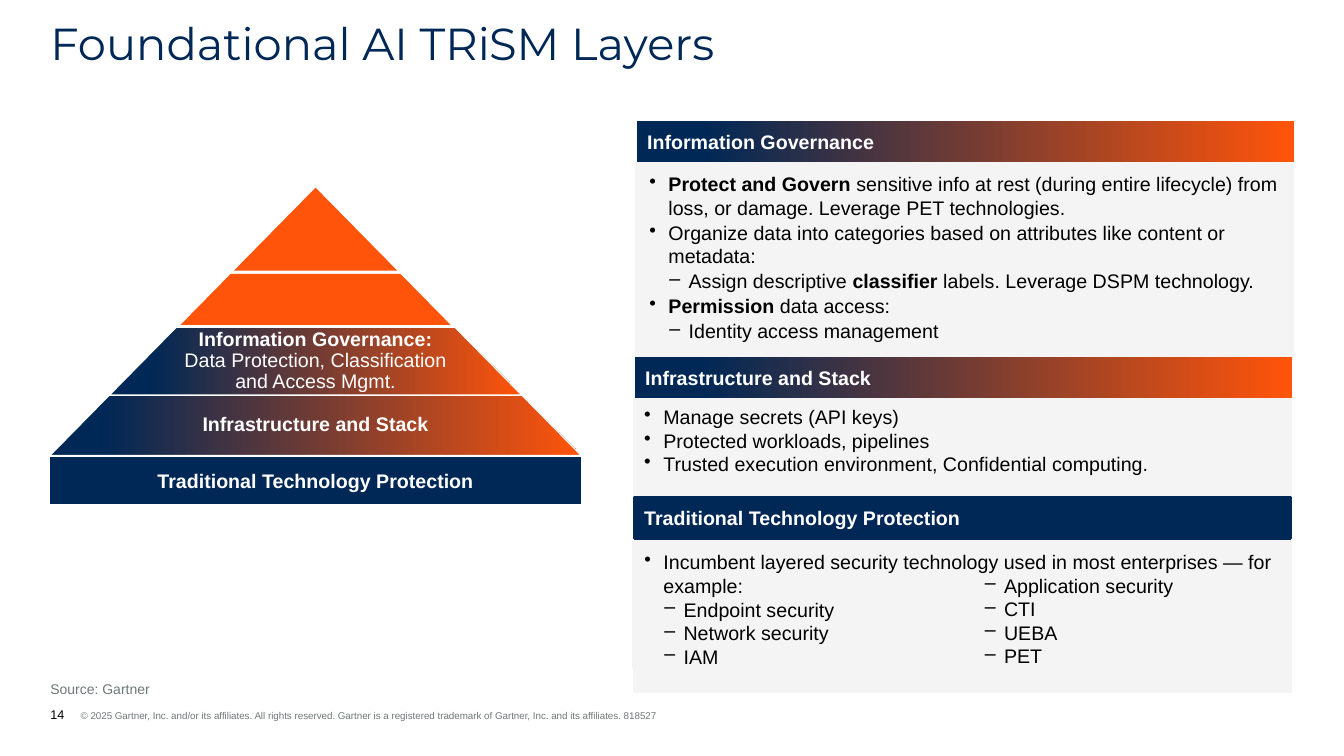
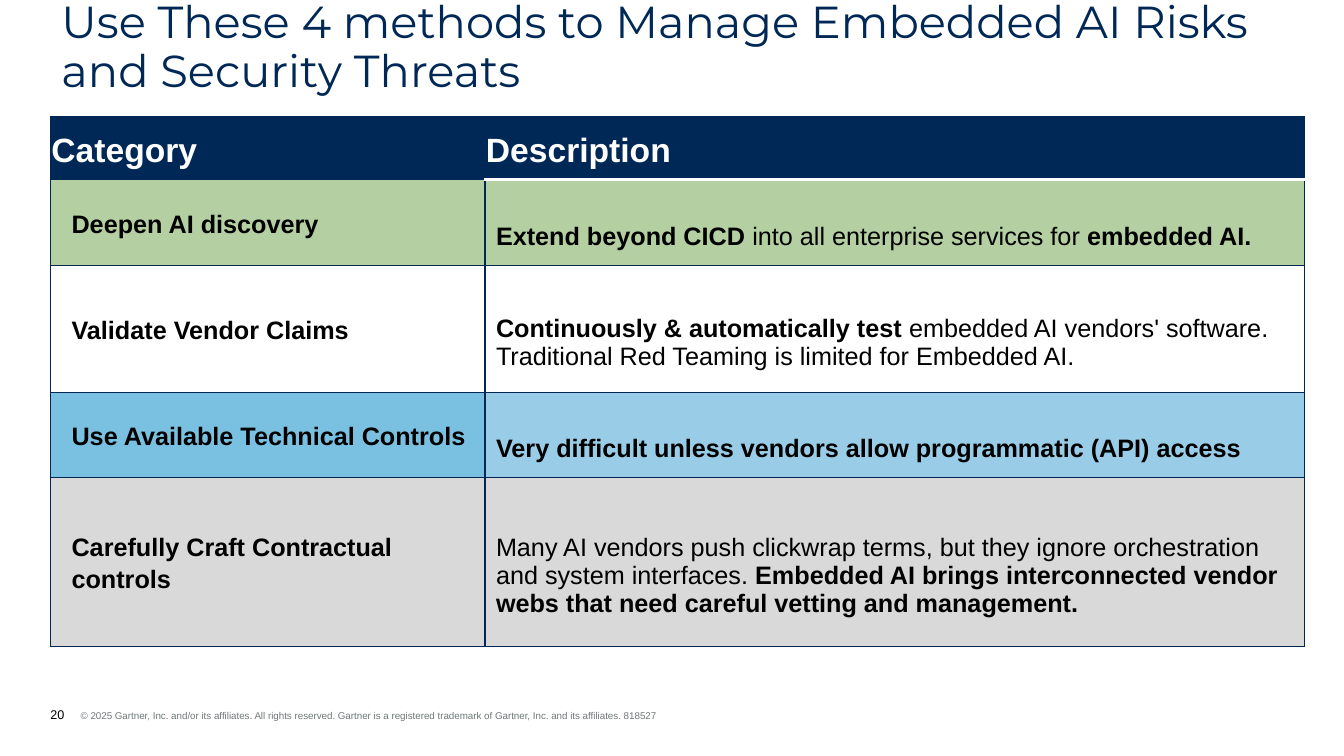
import pptx
import pptx.dml.color
import pptx.enum.shapes
import pptx.enum.text
import pptx.oxml.ns
import pptx.util
from lxml import etree

PX = 9144
NAVY, EDGE, ORANGE = "002856", "002754", "FF540A"
WHITE, BLACK, GREY, PALE = "FFFFFF", "000000", "6F7878", "F4F4F4"
FADE = (NAVY, ORANGE)
BODY_FONT, TITLE_FONT = "Arial", "Montserrat"
COPYRIGHT = ("© 2025 Gartner, Inc. and/or its affiliates. All rights reserved. "
             "Gartner is a registered trademark of Gartner, Inc. and its affiliates. 818527")
SHAPE = pptx.enum.shapes.MSO_SHAPE
ANCHOR = pptx.enum.text.MSO_ANCHOR
ALIGN = pptx.enum.text.PP_ALIGN


def px(length):
    return pptx.util.Emu(round(length * PX))


def color(value):
    return pptx.dml.color.RGBColor.from_string(value)


def style(font, size, ink, bold=None, name=BODY_FONT):
    font.name, font.size, font.bold = name, pptx.util.Pt(size), bold
    font.color.rgb = color(ink)


def indent(para, left, first=0):
    properties = para._p.get_or_add_pPr()
    properties.set("marL", str(px(left)))
    properties.set("indent", str(px(first)))
    return properties


def add_spans(para, text):
    """Write text in which ** toggles bold and a newline breaks the line."""
    for index, part in enumerate(text.split("**")):
        for row, line in enumerate(part.split("\n")):
            if row:
                para.add_line_break()
            if line:
                span = para.add_run()
                span.text = line
                if index % 2:
                    span.font.bold = True


def setup_frame(frame, insets=(0, 0, 0, 0), anchor=ANCHOR.TOP):
    frame.word_wrap = True
    frame.vertical_anchor = anchor
    (frame.margin_left, frame.margin_top,
     frame.margin_right, frame.margin_bottom) = map(px, insets)
    return frame


def write_line(frame, text, size, ink, bold=None, name=BODY_FONT, spacing=None,
               align=ALIGN.LEFT):
    para = frame.paragraphs[0]
    para.line_spacing, para.alignment = spacing, align
    style(para.font, size, ink, bold, name)
    add_spans(para, text)


def write_bullets(frame, items, gap=0):
    """Write (level, text) items as a two-level list."""
    for index, (level, text) in enumerate(items):
        para = frame.add_paragraph() if index else frame.paragraphs[0]
        properties = indent(para, 19 + 20 * level, -19)
        properties.set("lvl", str(level))
        bullet = etree.SubElement(properties, pptx.oxml.ns.qn("a:buChar"))
        bullet.set("char", "•–"[level])
        para.alignment = ALIGN.LEFT
        para.space_before = pptx.util.Pt(gap if index else 0)
        style(para.font, 14, BLACK)
        add_spans(para, text)


def add_text(page, box, insets=(0, 0, 0, 0), anchor=ANCHOR.TOP):
    return setup_frame(page.shapes.add_textbox(*map(px, box)).text_frame, insets, anchor)


def add_block(page, kind, box, fill, line=None, width=1):
    """Add a shape whose fill is one colour or a left-to-right pair."""
    block = page.shapes.add_shape(kind, *map(px, box))
    block.shadow.inherit = False
    if isinstance(fill, tuple):
        block.fill.gradient()
        block.fill.gradient_angle = 0
        for stop, value, position in zip(block.fill.gradient_stops, fill, (0.1, 1)):
            stop.color.rgb = color(value)
            stop.position = position
    else:
        block.fill.solid()
        block.fill.fore_color.rgb = color(fill)
    if line:
        block.line.color.rgb = color(line)
        block.line.width = pptx.util.Pt(width)
    else:
        block.line.fill.background()
    return block


def add_page(deck, title, left, top, number):
    """Add a blank page with the shared title and footer."""
    page = deck.slides.add_slide(deck.slide_layouts[6])
    write_line(add_text(page, (left, top, 1233, 48)), title, 32, NAVY,
               name=TITLE_FONT, spacing=0.9)
    footer = add_text(page, (50, 701, 785, 15), anchor=ANCHOR.BOTTOM).paragraphs[0]
    indent(footer, 30, -30)
    for text, size, ink in ((number, 9, BLACK), ("\t" + COPYRIGHT, 7, GREY)):
        span = footer.add_run()
        span.text = text
        style(span.font, size, ink)
    return page


def add_panel(page, left, top, height, heading, fill, items, insets, gap=0):
    """Add a heading bar with a list on a pale body below it."""
    width, bar = 651, 41
    body = add_block(page, SHAPE.RECTANGLE, (left - 1, top + bar, width, height), PALE, PALE, 2)
    write_bullets(setup_frame(body.text_frame, insets), items, gap)
    line = None if isinstance(fill, tuple) else fill
    header = add_block(page, SHAPE.RECTANGLE, (left, top, width, bar), fill, line, 2)
    frame = setup_frame(header.text_frame, (10, 10, 10, 10), ANCHOR.MIDDLE)
    write_line(frame, heading, 14, WHITE, True)


def add_pyramid(page, center, apex, layers, base_height, base_label):
    """Stack layers of one slope below the apex, on a rectangular base."""
    slope = 0.984
    bottom = apex + sum(height for height, *_ in layers)
    widest = 2 * slope * (bottom - apex)
    base = add_block(page, SHAPE.RECTANGLE,
                     (center - widest / 2, bottom + 1, widest, base_height), NAVY, WHITE)
    write_line(setup_frame(base.text_frame, anchor=ANCHOR.MIDDLE),
               base_label, 14, WHITE, True, align=ALIGN.CENTER)
    for height, fill, line_width, label in reversed(layers):
        width = 2 * slope * (bottom - apex)
        box = (center - width / 2, bottom - height, width, height)
        layer = add_block(page, SHAPE.TRAPEZOID, box, fill, WHITE, line_width)
        layer.adjustments[0] = slope
        if label:
            write_line(add_text(page, box, (3, 3, 3, 3), ANCHOR.MIDDLE),
                       label, 14, WHITE, spacing=0.9, align=ALIGN.CENTER)
        bottom -= height


def add_layers_page(deck):
    page = add_page(deck, "Foundational AI TRiSM Layers", 50, 22, "14")
    write_line(add_text(page, (50, 665, 341, 27), anchor=ANCHOR.BOTTOM),
               "Source: Gartner", 10, GREY)
    add_panel(page, 632, 120, 194, "Information Governance", FADE, [
        (0, "**Protect and Govern** sensitive info at rest (during entire lifecycle) "
            "from loss, or damage. Leverage PET technologies."),
        (0, "Organize data into categories based on attributes like content or metadata:"),
        (1, "Assign descriptive **classifier** labels. Leverage DSPM technology."),
        (0, "**Permission** data access:"),
        (1, "Identity access management"),
    ], (13, 10, 13, 13), gap=1)
    add_panel(page, 630, 354, 291, "Infrastructure and Stack", FADE, [
        (0, "Manage secrets (API keys)"),
        (0, "Protected workloads, pipelines"),
        (0, "Trusted execution environment, Confidential computing."),
    ], (10, 7, 10, 5))
    add_panel(page, 629, 493, 129, "Traditional Technology Protection", NAVY, [
        (0, "Incumbent layered security technology used in most enterprises — for example:"),
        (1, "Endpoint security"),
        (1, "Network security"),
        (1, "IAM"),
    ], (11, 12, 10, 5))
    write_bullets(add_text(page, (947, 564, 270, 104), (10, 5, 10, 5)),
                  [(1, text) for text in ("Application security", "CTI", "UEBA", "PET")])
    add_pyramid(page, 313, 184, [
        (86, ORANGE, 2, ""),
        (54, ORANGE, 2, ""),
        (68, FADE, 1, "**Information Governance:**\n"
                      "Data Protection, Classification\nand Access Mgmt."),
        (60, FADE, 1, "**Infrastructure and Stack**"),
    ], 48, "Traditional Technology Protection")


def add_borders(cell, **sides):
    """Draw cell sides L, R, T, B, each given as (colour, points)."""
    properties = cell._tc.get_or_add_tcPr()
    for side in "LRTB":
        value, width = sides[side]
        line = etree.SubElement(properties, pptx.oxml.ns.qn("a:ln" + side))
        line.set("w", str(pptx.util.Pt(width)))
        fill = etree.SubElement(line, pptx.oxml.ns.qn("a:solidFill"))
        etree.SubElement(fill, pptx.oxml.ns.qn("a:srgbClr")).set("val", value)


def fill_cell(cell, text, fill, row, column):
    thin, divider, header_rule = (EDGE, 0.75), (NAVY, 2), (WHITE, 2)
    add_borders(cell,
                L=divider if column else thin,
                R=thin if column else divider,
                T=header_rule if column and row == 1 else thin,
                B=header_rule if column and row == 0 else thin)
    cell.fill.solid()
    cell.fill.fore_color.rgb = color(fill)
    cell.vertical_anchor = ANCHOR.MIDDLE
    described = row > 0 and column == 1
    cell.margin_left = cell.margin_right = cell.margin_bottom = px(1)
    cell.margin_top = px(29 if described else 1)
    para = cell.text_frame.paragraphs[0]
    if row:
        indent(para, 10 if column else 20)
    if not described:
        para.line_spacing, para.space_after = 1.15, pptx.util.Pt(8)
    style(para.font, 18 if row else 24, BLACK if row else WHITE, not described)
    add_spans(para, text)


def add_method_table(page, left, top, widths, rows):
    """Add rows given as (height, (text, fill), (text, fill))."""
    table = page.shapes.add_table(len(rows), len(widths), px(left), px(top), px(sum(widths)),
                                  px(sum(height for height, *_ in rows))).table
    table.horz_banding = False
    for column, width in enumerate(widths):
        table.columns[column].width = px(width)
    for row, (height, *cells) in enumerate(rows):
        table.rows[row].height = px(height)
        for column, (text, fill) in enumerate(cells):
            fill_cell(table.cell(row, column), text, fill, row, column)


def add_methods_page(deck):
    page = add_page(deck, "Use These 4 methods to Manage Embedded AI Risks and Security Threats",
                    61, 0, "20")
    green, blue, sky, silver = "B4CFA1", "7AC1E1", "99CDE7", "D9D9D9"
    add_method_table(page, 50, 116, (431, 813), [
        (62, ("Category", NAVY), ("Description", NAVY)),
        (85, ("Deepen AI discovery", green),
         ("**Extend beyond CICD** into all enterprise services for **embedded AI.**", green)),
        (126, ("Validate Vendor Claims", WHITE),
         ("**Continuously & automatically test** embedded AI vendors' software. "
          "Traditional Red Teaming is limited for Embedded AI.", WHITE)),
        (85, ("Use Available Technical Controls", blue),
         ("**Very difficult unless vendors allow programmatic (API) access**", sky)),
        (167, ("Carefully Craft Contractual controls", silver),
         ("Many AI vendors push clickwrap terms, but they ignore orchestration and system "
          "interfaces. **Embedded AI brings interconnected vendor webs that need careful "
          "vetting and management.**", silver)),
    ])


def main():
    deck = pptx.Presentation()
    deck.slide_width, deck.slide_height = px(1333), px(750)
    add_layers_page(deck)
    add_methods_page(deck)
    deck.save("out.pptx")


if __name__ == "__main__":
    main()
